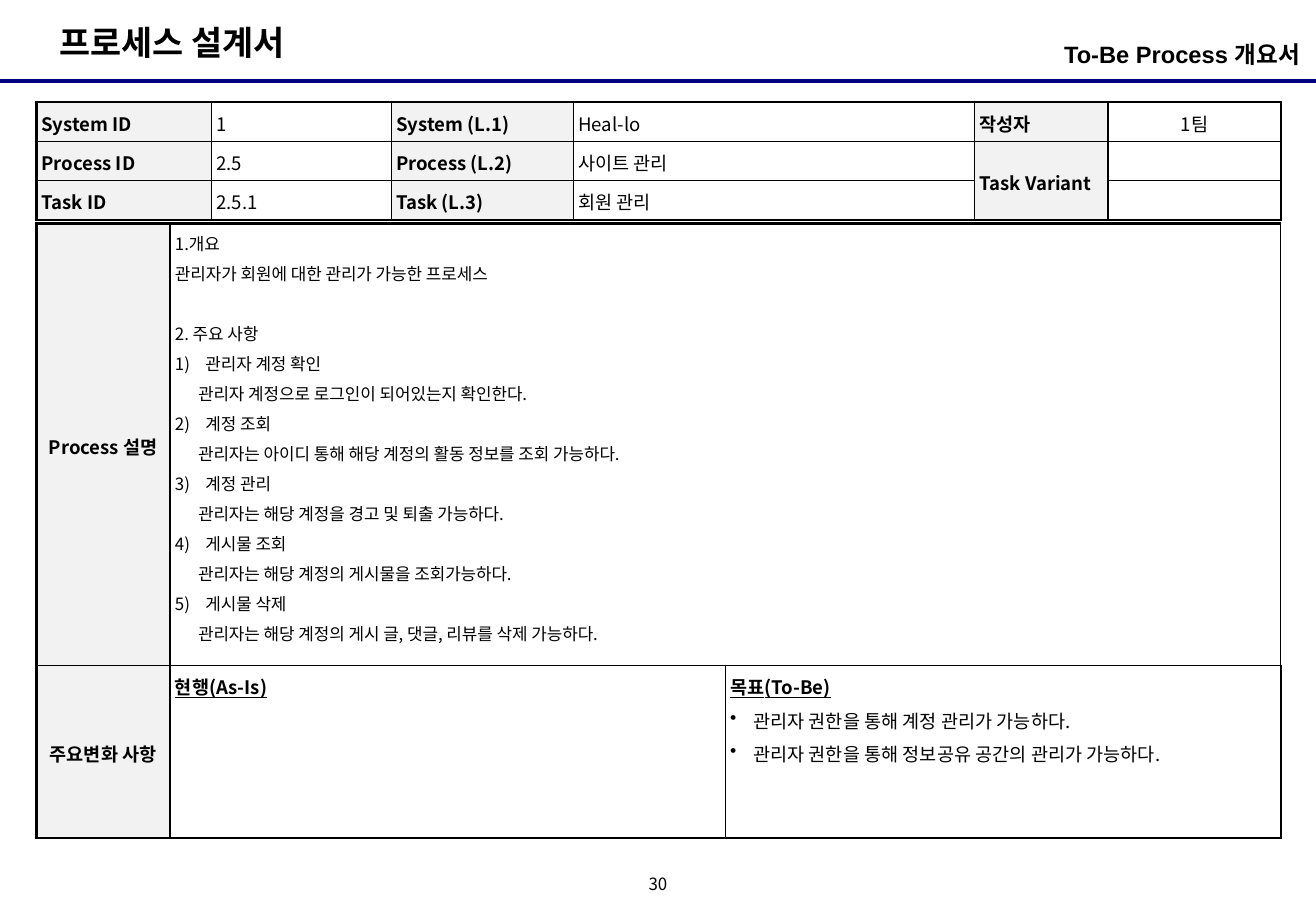
from dataclasses import dataclass

from lxml import etree
from pptx import Presentation
from pptx.dml.color import RGBColor
from pptx.enum.shapes import MSO_CONNECTOR
from pptx.enum.text import MSO_ANCHOR, MSO_AUTO_SIZE, PP_ALIGN
from pptx.oxml.ns import qn
from pptx.util import Inches, Pt

TOP, MIDDLE = MSO_ANCHOR.TOP, MSO_ANCHOR.MIDDLE
LEFT, CENTER, RIGHT = PP_ALIGN.LEFT, PP_ALIGN.CENTER, PP_ALIGN.RIGHT


@dataclass(frozen=True)
class Theme:
    ink: str = "000000"
    rule: str = "000080"
    label: str = "F2F2F2"
    paper: str = "FFFFFF"
    font: str = "Noto Sans CJK KR"
    heading_font: str = "Arial"
    title_size: int = 20
    heading_size: int = 14
    table_size: int = 11
    body_size: int = 10
    outer_border: float = 1.5
    inner_border: float = 1


THEME = Theme()

# Content
TITLE = "프로세스 설계서"
HEADING = "To-Be Process 개요서"
PAGE_NUMBER = "30"
IDENTITY = [
    ("System ID", "1", "System (L.1)", "Heal-lo", "작성자", "1팀"),
    ("Process ID", "2.5", "Process (L.2)", "사이트 관리", "Task Variant", ""),
    ("Task ID", "2.5.1", "Task (L.3)", "회원 관리", "", ""),
]
DESCRIPTION_LABEL = "Process 설명"
OVERVIEW = ("1.개요", "관리자가 회원에 대한 관리가 가능한 프로세스")
STEPS_HEADING = "2. 주요 사항"
STEPS = [
    ("관리자 계정 확인", "관리자 계정으로 로그인이 되어있는지 확인한다."),
    ("계정 조회", "관리자는 아이디 통해 해당 계정의 활동 정보를 조회 가능하다."),
    ("계정 관리", "관리자는 해당 계정을 경고 및 퇴출 가능하다."),
    ("게시물 조회", "관리자는 해당 계정의 게시물을 조회가능하다."),
    ("게시물 삭제", "관리자는 해당 계정의 게시 글, 댓글, 리뷰를 삭제 가능하다."),
]
CHANGES_LABEL = "주요변화 사항"
AS_IS = "현행(As-Is)"
TO_BE = "목표(To-Be)"
GOALS = [
    "관리자 권한을 통해 계정 관리가 가능하다.",
    "관리자 권한을 통해 정보공유 공간의 관리가 가능하다.",
]

# Layout in inches
SLIDE_WIDTH, SLIDE_HEIGHT = 10.83, 7.5
RULE_Y = 0.67
TABLE_LEFT = 0.3
IDENTITY_TOP, IDENTITY_COLUMNS, IDENTITY_ROWS = 0.84, (1.44, 1.48, 1.5, 3.3, 1.1, 1.42), (0.31,) * 3
DETAIL_TOP, DETAIL_COLUMNS, DETAIL_ROWS = 1.84, (1.1, 4.57, 4.57), (3.64, 1.42)
CELL_MARGIN = 0.04
STEP_INDENT, STEP_TEXT_INDENT, GOAL_INDENT = 0.25, 0.19, 0.19
BLANK_LINE = 19  # points before the second section


def add_run(paragraph, text, size, bold=False, underline=False, font=THEME.font):
    run = paragraph.add_run()
    run.text = text
    run.font.size = Pt(size)
    run.font.bold = bold
    run.font.underline = underline
    run.font.name = font
    run.font.color.rgb = RGBColor.from_string(THEME.ink)
    east_asian = etree.SubElement(run.font._element, qn("a:ea"))
    east_asian.set("typeface", THEME.font)


def set_bullet(paragraph, tag, indent=0.0, hanging=0.0, **attributes):
    properties = paragraph._p.get_or_add_pPr()
    properties.set("marL", str(Inches(indent)))
    properties.set("indent", str(-Inches(hanging)))
    etree.SubElement(properties, qn(tag), attributes)


def write_frame(shape, box, text, size, margins, align=LEFT, anchor=TOP, wrap=False, **style):
    shape.left, shape.top, shape.width, shape.height = (Inches(value) for value in box)
    frame = shape.text_frame
    frame.auto_size = MSO_AUTO_SIZE.NONE
    frame.word_wrap = wrap
    frame.vertical_anchor = anchor
    frame.margin_left = frame.margin_right = Inches(margins[0])
    frame.margin_top = frame.margin_bottom = Inches(margins[1])
    paragraph = frame.paragraphs[0]
    set_bullet(paragraph, "a:buNone")
    paragraph.alignment = align
    paragraph.space_before = Pt(0)
    add_run(paragraph, text, size, **style)
    return paragraph


def add_grid(slide, top, columns, rows):
    shape = slide.shapes.add_table(len(rows), len(columns), Inches(TABLE_LEFT), Inches(top),
                                   Inches(sum(columns)), Inches(sum(rows)))
    table = shape.table
    table.first_row = table.horz_banding = False
    for column, width in zip(table.columns, columns):
        column.width = Inches(width)
    for row, height in zip(table.rows, rows):
        row.height = Inches(height)
    for y in range(len(rows)):
        for x in range(len(columns)):
            edges = {"lnL": x == 0, "lnR": x == len(columns) - 1,
                     "lnT": y == 0, "lnB": y == len(rows) - 1}
            prepare_cell(table.cell(y, x), edges)
    return table


def prepare_cell(cell, edges):
    cell.margin_left = cell.margin_right = Inches(CELL_MARGIN)
    cell.margin_top = cell.margin_bottom = Inches(CELL_MARGIN)
    cell.fill.background()
    properties = cell._tc.get_or_add_tcPr()
    for position, (side, outer) in enumerate(edges.items()):
        width = THEME.outer_border if outer else THEME.inner_border
        line = etree.Element(qn(f"a:{side}"), w=str(Pt(width)))
        fill = etree.SubElement(line, qn("a:solidFill"))
        etree.SubElement(fill, qn("a:srgbClr"), val=THEME.ink)
        properties.insert(position, line)


def write_line(cell, text, size=THEME.table_size, align=LEFT, **style):
    paragraph = cell.text_frame.paragraphs[0]
    first = not paragraph.runs
    if not first:
        paragraph = cell.text_frame.add_paragraph()
    paragraph.alignment = align
    paragraph.line_spacing = 1.1
    paragraph.space_before = Pt(0 if first else size / 10)
    paragraph.space_after = Pt(size / 10)
    add_run(paragraph, text, size, **style)
    return paragraph


def fill_cell(cell, color, anchor=TOP):
    cell.fill.solid()
    cell.fill.fore_color.rgb = RGBColor.from_string(color)
    cell.vertical_anchor = anchor


def add_identity_table(slide):
    table = add_grid(slide, IDENTITY_TOP, IDENTITY_COLUMNS, IDENTITY_ROWS)
    table.cell(1, 4).merge(table.cell(2, 4))
    for y, texts in enumerate(IDENTITY):
        for x, text in enumerate(texts):
            cell, is_label = table.cell(y, x), x % 2 == 0
            anchor = MIDDLE if x >= 4 else TOP
            cell.vertical_anchor = anchor
            if is_label:
                fill_cell(cell, THEME.label, anchor)
            if text:
                write_line(cell, text, align=CENTER if x == 5 else LEFT, bold=is_label)
            else:
                etree.SubElement(cell.text_frame.paragraphs[0]._p, qn("a:endParaRPr"),
                                 sz=str(THEME.table_size * 100))


def add_detail_table(slide):
    table = add_grid(slide, DETAIL_TOP, DETAIL_COLUMNS, DETAIL_ROWS)
    table.cell(0, 1).merge(table.cell(0, 2))
    for y, label in enumerate((DESCRIPTION_LABEL, CHANGES_LABEL)):
        fill_cell(table.cell(y, 0), THEME.label, MIDDLE)
        write_line(table.cell(y, 0), label, align=CENTER, bold=True)

    # Process description
    description = table.cell(0, 1)
    fill_cell(description, THEME.paper)
    for text in OVERVIEW:
        write_line(description, text, THEME.body_size)
    write_line(description, STEPS_HEADING, THEME.body_size).space_before = Pt(BLANK_LINE)
    for number, (name, detail) in enumerate(STEPS, 1):
        set_bullet(write_line(description, name, THEME.body_size), "a:buAutoNum",
                   STEP_INDENT, STEP_INDENT, type="arabicParenR", startAt=str(number))
        set_bullet(write_line(description, detail, THEME.body_size), "a:buNone", STEP_TEXT_INDENT)

    # Current state and goals
    for x, (heading, items) in enumerate(((AS_IS, []), (TO_BE, GOALS)), 1):
        cell = table.cell(1, x)
        fill_cell(cell, THEME.paper)
        write_line(cell, heading, bold=True, underline=True)
        for item in items:
            set_bullet(write_line(cell, item), "a:buChar", GOAL_INDENT, GOAL_INDENT, char="•")


def main():
    presentation = Presentation()
    presentation.slide_width, presentation.slide_height = Inches(SLIDE_WIDTH), Inches(SLIDE_HEIGHT)
    slide = presentation.slides.add_slide(presentation.slide_layouts[1])

    # Header
    rule = slide.shapes.add_connector(MSO_CONNECTOR.STRAIGHT, 0, Inches(RULE_Y),
                                      Inches(SLIDE_WIDTH), Inches(RULE_Y))
    rule.line.color.rgb = RGBColor.from_string(THEME.rule)
    rule.line.width = Pt(2.25)
    etree.SubElement(rule._element.spPr, qn("a:effectLst"))
    write_frame(slide.shapes.title, (0.39, 0.13, 2.26, 0.44), TITLE, THEME.title_size,
                (0.1, 0.05), bold=True)
    write_frame(slide.placeholders[1], (7.39, 0.28, 3.31, 0.39), HEADING, THEME.heading_size,
                (0, 0.05), RIGHT, wrap=True, bold=True, font=THEME.heading_font)

    # Tables
    add_identity_table(slide)
    add_detail_table(slide)

    # Page number
    number = slide.shapes.add_textbox(0, 0, 0, 0)
    write_frame(number, (5.25, 7.17, 0.33, 0.25), PAGE_NUMBER, THEME.body_size, (0, 0),
                CENTER, MIDDLE).line_spacing = 0.8
    presentation.save("out.pptx")


if __name__ == "__main__":
    main()
